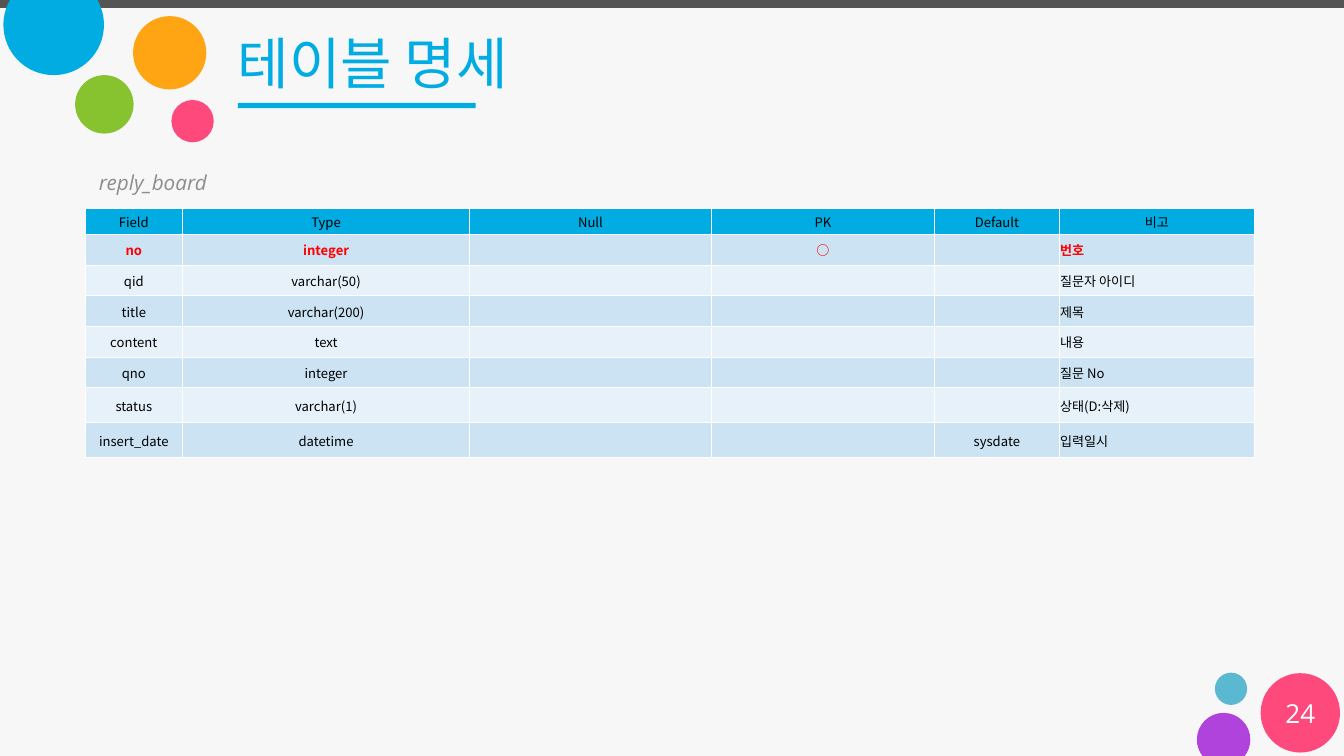
from itertools import pairwise
from math import asin, cos, pi, sin, tan

from lxml import etree
from pptx import Presentation
from pptx.dml.color import RGBColor
from pptx.enum.shapes import MSO_SHAPE
from pptx.enum.text import MSO_ANCHOR, PP_ALIGN
from pptx.oxml.ns import qn
from pptx.util import Cm, Pt

RECTANGLE, OVAL = MSO_SHAPE.RECTANGLE, MSO_SHAPE.OVAL
LEFT, CENTER = PP_ALIGN.LEFT, PP_ALIGN.CENTER
TOP, MIDDLE = MSO_ANCHOR.TOP, MSO_ANCHOR.MIDDLE

SLIDE_WIDTH, SLIDE_HEIGHT = 50.8, 28.58
COLORS = {
    "background": "F7F7F7", "bar": "545454", "blue": "00ACE2",
    "pink": "FD497C", "green": "87C32F", "orange": "FFA513",
    "teal": "5BB8D1", "purple": "B143DD", "caption": "8E8E8E",
    "white": "FFFFFF", "black": "000000", "key": "FF0000",
    "band_dark": "CCE3F4", "band_light": "E7F1FA",
}

# left, top, diameter
CIRCLES = [
    (6.48, 3.78, 1.6, "pink"),
    (2.84, 2.84, 2.21, "green"),
    (5.03, 0.61, 2.77, "orange"),
    (45.92, 25.43, 1.22, "teal"),
    (47.65, 25.45, 3, "pink"),
]

FIELDS = [
    ("Field", "Type", "Null", "PK", "Default", "비고"),
    ("no", "integer", "", "○", "", "번호"),
    ("qid", "varchar(50)", "", "", "", "질문자 아이디"),
    ("title", "varchar(200)", "", "", "", "제목"),
    ("content", "text", "", "", "", "내용"),
    ("qno", "integer", "", "", "", "질문 No"),
    ("status", "varchar(1)", "", "", "", "상태(D:삭제)"),
    ("insert_date", "datetime", "", "", "sysdate", "입력일시"),
]
COLUMN_WIDTHS = [3.68, 10.85, 9.14, 8.43, 4.72, 7.37]
ROW_HEIGHTS = [0.99] + [1.16] * 5 + [1.32] * 2
KEY_ROW = 1
REMARK_COLUMN = 5


def rgb(color):
    return RGBColor.from_string(COLORS[color])


def paint(shape, color):
    shape.shadow.inherit = False
    shape.fill.solid()
    shape.fill.fore_color.rgb = rgb(color)
    shape.line.fill.background()


def add_plain_shape(slide, kind, left, top, width, height, color):
    shape = slide.shapes.add_shape(kind, Cm(left), Cm(top), Cm(width), Cm(height))
    paint(shape, color)


def arc_points(x, y, radius, start, end):
    """Return the two handles and the end point of a Bézier arc."""
    handle = 4 / 3 * tan((end - start) / 4)
    positions = [
        (cos(start) - handle * sin(start), sin(start) + handle * cos(start)),
        (cos(end) + handle * sin(end), sin(end) - handle * cos(end)),
        (cos(end), sin(end)),
    ]
    return [(Cm(x + radius * dx), Cm(y + radius * dy)) for dx, dy in positions]


def add_edge_circle(slide, x, y, radius, edge, color):
    """Add a circle cut off by the top or bottom edge of the slide."""
    cut = asin((edge - y) / radius)
    if edge == 0:
        stops = [cut, 0, pi / 2, pi, pi - cut]
    else:
        stops = [pi - cut, pi, 3 * pi / 2, 2 * pi, 2 * pi + cut]
    points = [point for start, end in pairwise(stops)
              for point in arc_points(x, y, radius, start, end)]
    first = (Cm(x + radius * cos(stops[0])), Cm(edge))
    outline = slide.shapes.build_freeform(*points[-1])
    outline.add_line_segments([first] + points, close=True)
    shape = outline.convert_to_shape()
    paint(shape, color)

    lines = list(shape._element.iter(qn("a:lnTo")))[1:]
    for i in range(0, len(points), 3):
        curve = etree.Element(qn("a:cubicBezTo"))
        lines[i].addprevious(curve)
        for line in lines[i:i + 3]:
            curve.append(line[0])
            line.getparent().remove(line)


def add_run(paragraph, text, size, font, color, bold=False, italic=False):
    run = paragraph.add_run()
    run.text = text
    run.font.size = Pt(size)
    run.font.name = font
    run.font.bold = bold
    run.font.italic = italic
    run.font.color.rgb = rgb(color)


def add_text(slide, left, top, width, height, text, size, font, color,
             anchor=MIDDLE, align=LEFT, italic=False):
    box = slide.shapes.add_textbox(Cm(left), Cm(top), Cm(width), Cm(height))
    frame = box.text_frame
    frame.word_wrap = True
    frame.vertical_anchor = anchor
    frame.margin_left = frame.margin_right = Cm(0.46)
    frame.margin_top = frame.margin_bottom = Cm(0.23)
    paragraph = frame.paragraphs[0]
    paragraph.alignment = align
    add_run(paragraph, text, size, font, color, italic=italic)


def set_borders(cell):
    properties = cell._tc.get_or_add_tcPr()
    for position, side in enumerate(("a:lnL", "a:lnR", "a:lnT", "a:lnB")):
        line = etree.Element(qn(side), w=str(Pt(1)))
        fill = etree.SubElement(line, qn("a:solidFill"))
        etree.SubElement(fill, qn("a:srgbClr"), val=COLORS["white"])
        properties.insert(position, line)


def fill_cell(cell, text, background, color, bold, align):
    cell.fill.solid()
    cell.fill.fore_color.rgb = rgb(background)
    cell.vertical_anchor = MIDDLE
    cell.margin_left = cell.margin_right = cell.margin_top = Cm(0.03)
    cell.margin_bottom = 0
    set_borders(cell)
    if text:
        paragraph = cell.text_frame.paragraphs[0]
        paragraph.alignment = align
        add_run(paragraph, text, 14, "Noto Sans CJK KR", color, bold)


def add_field_table(slide):
    table = slide.shapes.add_table(
        len(FIELDS), len(COLUMN_WIDTHS), Cm(3.22), Cm(7.87),
        Cm(sum(COLUMN_WIDTHS)), Cm(sum(ROW_HEIGHTS))).table
    for column, width in zip(table.columns, COLUMN_WIDTHS):
        column.width = Cm(width)
    for row, height in zip(table.rows, ROW_HEIGHTS):
        row.height = Cm(height)

    for r, field in enumerate(FIELDS):
        header, key = r == 0, r == KEY_ROW
        band = "band_dark" if r % 2 else "band_light"
        for c, text in enumerate(field):
            remark = c == REMARK_COLUMN and not header
            fill_cell(table.cell(r, c), text,
                      background="blue" if header else band,
                      color="key" if key else "black", bold=key,
                      align=LEFT if remark else CENTER)


def main():
    presentation = Presentation()
    presentation.slide_width = Cm(SLIDE_WIDTH)
    presentation.slide_height = Cm(SLIDE_HEIGHT)
    slide = presentation.slides.add_slide(presentation.slide_layouts[6])
    slide.background.fill.solid()
    slide.background.fill.fore_color.rgb = rgb("background")

    add_plain_shape(slide, RECTANGLE, 0, 0, SLIDE_WIDTH, 0.3, "bar")
    for left, top, diameter, color in CIRCLES:
        add_plain_shape(slide, OVAL, left, top, diameter, diameter, color)
    add_edge_circle(slide, 2.03, 0.94, 1.9, 0, "blue")
    add_edge_circle(slide, 46.25, 27.96, 1.01, SLIDE_HEIGHT, "purple")
    add_plain_shape(slide, RECTANGLE, 8.99, 3.89, 8.99, 0.2, "blue")

    add_text(slide, 8.53, 0.69, 39.85, 3.35, "테이블 명세", 60, "Calibri", "blue")
    add_text(slide, 3.28, 6.19, 39.8, 1.4, "reply_board", 22.2, "Open Sans",
             "caption", anchor=TOP, italic=True)
    add_text(slide, 47.65, 26.21, 3, 1.52, "24", 28, "Open Sans", "white",
             align=CENTER)
    add_field_table(slide)

    presentation.save("out.pptx")


if __name__ == "__main__":
    main()
